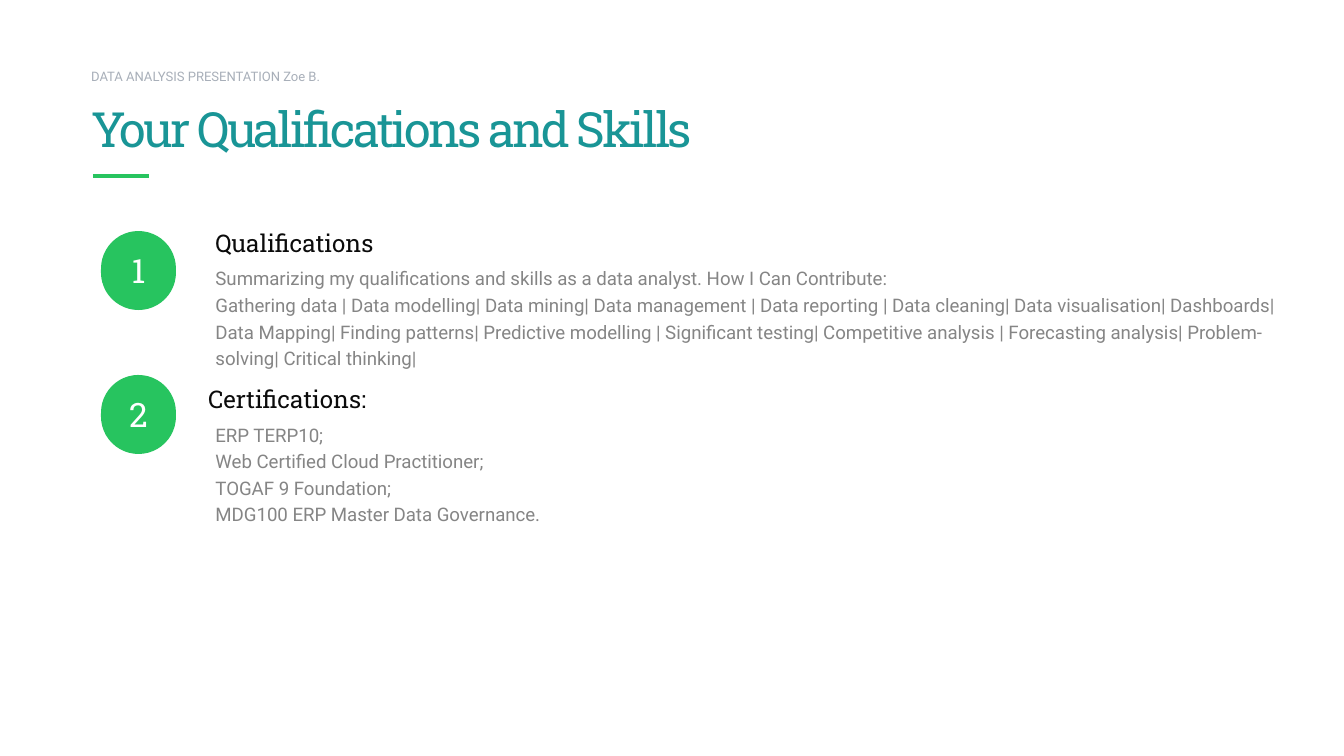
from dataclasses import dataclass
from typing import Optional

import pptx
import pptx.dml.color
import pptx.enum.shapes
import pptx.enum.text
import pptx.oxml
import pptx.oxml.ns
import pptx.util

SCALE = 914400 / 134.4
ANCHOR = pptx.enum.text.MSO_ANCHOR
ALIGN = pptx.enum.text.PP_ALIGN
SHAPE = pptx.enum.shapes.MSO_SHAPE
NS = pptx.oxml.ns.nsdecls("a")


@dataclass(frozen=True)
class Theme:
    green: str = "27C45F"
    teal: str = "199596"
    black: str = "0B0B0B"
    gray: str = "858585"
    pale: str = "A8AFB9"
    white: str = "FFFFFF"
    sans: str = "Roboto"
    slab: str = "Roboto Slab"
    title: int = 26
    badge: int = 18
    head: int = 13
    body: int = 10
    label: int = 7


@dataclass(frozen=True)
class Box:
    left: int
    top: int
    width: int
    height: int

    def emu(self) -> tuple:
        return tuple(px(n) for n in (self.left, self.top, self.width, self.height))


@dataclass(frozen=True)
class Style:
    size: int
    font: str
    color: str
    align: ALIGN = ALIGN.LEFT
    anchor: ANCHOR = ANCHOR.MIDDLE
    wrap: bool = True


@dataclass(frozen=True)
class Section:
    mark: str
    badge: Box
    head: str
    label: Box
    lines: tuple
    body: Box
    gap: int = 0
    lead: Optional[float] = None


THEME = Theme()
TITLE = Style(THEME.title, THEME.slab, THEME.teal)
BADGE = Style(THEME.badge, THEME.slab, THEME.white, ALIGN.CENTER, wrap=False)
HEAD = Style(THEME.head, THEME.slab, THEME.black, anchor=ANCHOR.TOP)
BODY = Style(THEME.body, THEME.sans, THEME.gray)
LABEL = Style(THEME.label, THEME.sans, THEME.pale, anchor=ANCHOR.TOP)

SECTIONS = (
    Section(
        "1", Box(101, 231, 75, 79),
        "Qualifications", Box(202, 222, 253, 43),
        (
            "Summarizing my qualifications and skills as a data analyst. "
            "How I Can Contribute:",
            "Gathering data | Data modelling| Data mining| Data management | "
            "Data reporting | Data cleaning| Data visualisation| Dashboards| "
            "Data Mapping| Finding patterns| Predictive modelling | "
            "Significant testing| Competitive analysis | Forecasting analysis| "
            "Problem-solving| Critical thinking|",
        ),
        Box(202, 281, 1086, 70), lead=1.2,
    ),
    Section(
        "2", Box(101, 375, 75, 79),
        "Certifications:", Box(195, 378, 253, 43),
        (
            "ERP TERP10;",
            "Web Certified Cloud Practitioner;",
            "TOGAF 9 Foundation;",
            "MDG100 ERP Master Data Governance.",
        ),
        Box(202, 436, 1086, 77), gap=2,
    ),
)


def px(n: int) -> int:
    return round(n * SCALE)


def rgb(code: str) -> pptx.dml.color.RGBColor:
    return pptx.dml.color.RGBColor.from_string(code)


def write(shape, text: str, style: Style, gap: int = 0,
          lead: Optional[float] = None) -> None:
    """Fill a shape with one paragraph per line of text."""
    frame = shape.text_frame
    frame.text = text
    frame.word_wrap = style.wrap
    frame.auto_size = pptx.enum.text.MSO_AUTO_SIZE.NONE
    frame.vertical_anchor = style.anchor
    for i, para in enumerate(frame.paragraphs):
        para.alignment = style.align
        para.space_before = pptx.util.Pt(gap if i else 0)
        para.line_spacing = lead
        for run in para.runs:
            run.font.size = pptx.util.Pt(style.size)
            run.font.name = style.font
            run.font.color.rgb = rgb(style.color)


def place(shape, box: Box) -> None:
    shape.left, shape.top, shape.width, shape.height = box.emu()


def label(slide, box: Box, text: str, style: Style) -> None:
    write(slide.shapes.add_textbox(*box.emu()), text, style)


def badge(slide, box: Box, text: str) -> None:
    shape = slide.shapes.add_shape(SHAPE.ROUNDED_RECTANGLE, *box.emu())
    shape.adjustments[0] = 0.5
    shape.shadow.inherit = False
    shape.fill.solid()
    shape.fill.fore_color.rgb = rgb(THEME.green)
    shape.line.fill.background()
    write(shape, text, BADGE)


def rule(slide, left: int, right: int, top: int) -> None:
    line = slide.shapes.add_connector(
        pptx.enum.shapes.MSO_CONNECTOR.STRAIGHT,
        px(left), px(top), px(right), px(top))
    line.line.color.rgb = rgb(THEME.green)
    line.line.width = pptx.util.Pt(2)
    line._element.spPr.append(pptx.oxml.parse_xml(f"<a:effectLst {NS}/>"))


def plain(shape) -> None:
    """Remove the bullets and hanging indents of a body placeholder."""
    for para in shape.text_frame.paragraphs:
        props = para._p.get_or_add_pPr()
        props.set("marL", "0")
        props.set("indent", "0")
        props.append(pptx.oxml.parse_xml(f"<a:buNone {NS}/>"))


def section(slide, part: Section, body) -> None:
    place(body, part.body)
    write(body, "\n".join(part.lines), BODY, part.gap, part.lead)
    plain(body)
    badge(slide, part.badge, part.mark)
    label(slide, part.label, part.head, HEAD)


def main() -> None:
    deck = pptx.Presentation()
    deck.slide_width, deck.slide_height = px(1344), px(756)
    slide = deck.slides.add_slide(deck.slide_layouts.get_by_name("Two Content"))

    rule(slide, 93, 149, 176)
    title, *bodies = slide.placeholders
    for part, body in zip(SECTIONS, bodies):
        section(slide, part, body)

    label(slide, Box(78, 62, 739, 47), "DATA ANALYSIS PRESENTATION Zoe B.", LABEL)
    place(title, Box(78, 65, 1120, 126))
    write(title, "Your Qualifications and Skills", TITLE)
    for run in title.text_frame.paragraphs[0].runs:
        run._r.get_or_add_rPr().set("spc", "-150")

    deck.save("out.pptx")


if __name__ == "__main__":
    main()
